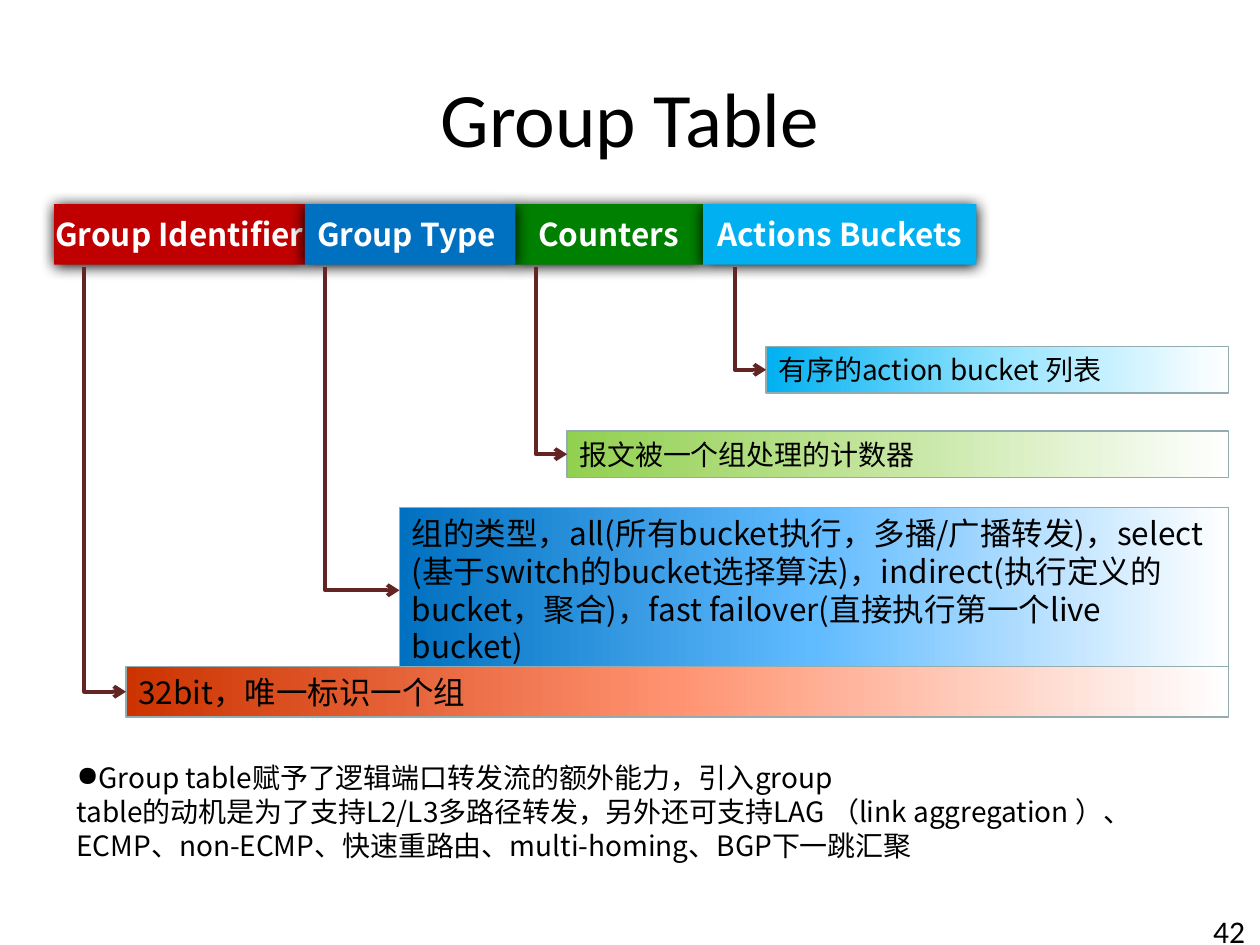
from copy import deepcopy
from dataclasses import dataclass

from lxml.etree import SubElement
from pptx import Presentation
from pptx.dml.color import RGBColor
from pptx.enum.shapes import MSO_CONNECTOR, MSO_SHAPE
from pptx.enum.text import MSO_ANCHOR, PP_ALIGN
from pptx.oxml.ns import qn
from pptx.util import Inches, Pt

COLORS = {
    "text": "000000", "header_text": "FFFFFF", "fade": "FFFFFF",
    "arrow": "632523", "border": "93ACAF",
    "red": "C00000", "blue": "0070C0", "green": "008000", "cyan": "00B0F0",
    "orange": "CC3300", "lime": "92D050",
    "mid_orange": "FF9371", "mid_blue": "61BBFF",
    "mid_lime": "C6E6A2", "mid_cyan": "93E3FF",
}
CJK = "Noto Sans CJK SC"
HEADER_TOP, HEADER_HEIGHT = 1.62, 0.48
ARROW_TOP = 2.12
NOTE_RIGHT = 9.75


@dataclass
class Field:
    name: str
    left: float
    width: float
    color: str


@dataclass
class Note:
    text: str
    left: float
    top: float
    height: float
    start: str
    middle: str
    size: int
    arrow_x: float


FIELDS = [
    Field("Group Identifier", 0.43, 1.99, "red"),
    Field("Counters", 4.08, 1.5, "green"),
    Field("Group Type ", 2.42, 1.67, "blue"),
    Field("Actions Buckets", 5.58, 2.17, "cyan"),
]
NOTES = [
    Note("组的类型，all(所有bucket执行，多播/广播转发)，select (基于switch的bucket选择算法)，"
         "indirect(执行定义的bucket，聚合)，fast failover(直接执行第一个live bucket)",
         3.17, 4.03, 1.31, "blue", "mid_blue", 18, 2.58),
    Note("报文被一个组处理的计数器", 4.5, 3.42, 0.37, "lime", "mid_lime", 16, 4.25),
    Note("32bit，唯一标识一个组", 1, 5.29, 0.4, "orange", "mid_orange", 18, 0.67),
    Note("有序的action bucket 列表", 6.08, 2.75, 0.37, "cyan", "mid_cyan", 16, 5.83),
]
SUMMARY = ("Group table赋予了逻辑端口转发流的额外能力，引入group table的动机是为了支持"
           "L2/L3多路径转发，另外还可支持LAG （link aggregation ）、ECMP、non-ECMP、"
           "快速重路由、multi-homing、BGP下一跳汇聚")


def rgb(name: str) -> RGBColor:
    return RGBColor.from_string(COLORS[name])


def write(sp, text: str, size: float, font: str = CJK, color: str = "text",
          bold: bool = False, align=PP_ALIGN.LEFT, wrap: bool = True):
    """Fill a shape with one formatted paragraph and return it."""
    tf = sp.text_frame
    tf.word_wrap = wrap
    p = tf.paragraphs[0]
    p.text = text
    p.alignment = align
    f = p.runs[0].font
    f.size, f.name, f.bold = Pt(size), font, bold
    f.color.rgb = rgb(color)
    SubElement(f._element, qn("a:ea")).set("typeface", font)
    return p


def add_box(s, left: float, top: float, width: float, height: float):
    sp = s.shapes.add_shape(MSO_SHAPE.RECTANGLE, Inches(left), Inches(top),
                            Inches(width), Inches(height))
    sp.shadow.inherit = False
    return sp


def add_glow_shadow(sp) -> None:
    effects = sp._element.spPr.find(qn("a:effectLst"))
    shadow = SubElement(effects, qn("a:outerShdw"), blurRad=str(Pt(8.5)),
                        dist=str(Pt(1)), dir="5400000", algn="ctr", rotWithShape="0")
    SubElement(shadow, qn("a:srgbClr"), val=COLORS["text"])


def add_field(s, field: Field) -> None:
    sp = add_box(s, field.left, HEADER_TOP, field.width, HEADER_HEIGHT)
    sp.fill.solid()
    sp.fill.fore_color.rgb = rgb(field.color)
    sp.line.fill.background()
    add_glow_shadow(sp)
    p = write(sp, field.name, 18, color="header_text", bold=True,
              align=PP_ALIGN.CENTER, wrap=False)
    sp.text_frame.vertical_anchor = MSO_ANCHOR.MIDDLE
    p.space_before = Pt(3.6)
    pPr = p._p.get_or_add_pPr()
    pPr.set("marL", str(Inches(0.38)))
    pPr.set("indent", str(Inches(-0.38)))


def set_gradient(sp, names: list[str]) -> None:
    """Fill left to right with three evenly spaced colours."""
    fill = sp.fill
    fill.gradient()
    fill.gradient_angle = 0
    first = sp._element.spPr.find(qn("a:gradFill")).find(qn("a:gsLst"))[0]
    first.addnext(deepcopy(first))
    for i, (stop, name) in enumerate(zip(fill.gradient_stops, names)):
        stop.position = i / 2
        stop.color.rgb = rgb(name)


def add_note(s, note: Note) -> None:
    sp = add_box(s, note.left, note.top, NOTE_RIGHT - note.left, note.height)
    set_gradient(sp, [note.start, note.middle, "fade"])
    sp.line.color.rgb = rgb("border")
    sp.line.width = Pt(0.75)
    write(sp, note.text, note.size)
    sp.text_frame.vertical_anchor = MSO_ANCHOR.TOP


def add_bent_arrow(s, x1: float, y1: float, x2: float, y2: float) -> None:
    """Go down from (x1, y1), then right to (x2, y2), as a box turned by 270 degrees."""
    cx, cy = (x1 + x2) / 2, (y1 + y2) / 2
    half_w, half_h = (y2 - y1) / 2, (x2 - x1) / 2
    c = s.shapes.add_connector(MSO_CONNECTOR.ELBOW,
                               Inches(cx + half_w), Inches(cy - half_h),
                               Inches(cx - half_w), Inches(cy + half_h))
    c.line.color.rgb = rgb("arrow")
    c.line.width = Pt(2.25)
    spPr = c._element.spPr
    spPr.find(qn("a:xfrm")).set("rot", "16200000")
    spPr.find(qn("a:prstGeom")).set("prst", "bentConnector2")
    SubElement(spPr.find(qn("a:ln")), qn("a:tailEnd"), type="arrow")
    SubElement(spPr, qn("a:effectLst"))


def add_text(s, left: float, top: float, width: float, height: float):
    return s.shapes.add_textbox(Inches(left), Inches(top), Inches(width), Inches(height))


def main() -> None:
    prs = Presentation()
    prs.slide_width, prs.slide_height = Inches(10), Inches(7.5)
    s = prs.slides.add_slide(prs.slide_layouts[5])

    title = s.shapes.title
    title.left, title.top = Inches(0.5), Inches(0.3)
    title.width, title.height = Inches(9), Inches(1.25)
    write(title, "Group Table", 44, font="Calibri", align=PP_ALIGN.CENTER)
    title.text_frame.vertical_anchor = MSO_ANCHOR.MIDDLE

    write(add_text(s, 9.53, 7.19, 0.5, 0.4), "42", 18, font="Calibri", wrap=False)
    p = write(add_text(s, 0.51, 5.99, 9.06, 0.91), SUMMARY, 16)
    SubElement(p._p.get_or_add_pPr(), qn("a:buChar"), char="●")

    for field in FIELDS:
        add_field(s, field)
    for note in NOTES:
        add_note(s, note)
        add_bent_arrow(s, note.arrow_x, ARROW_TOP, note.left, note.top + note.height / 2)

    prs.save("out.pptx")


if __name__ == "__main__":
    main()
